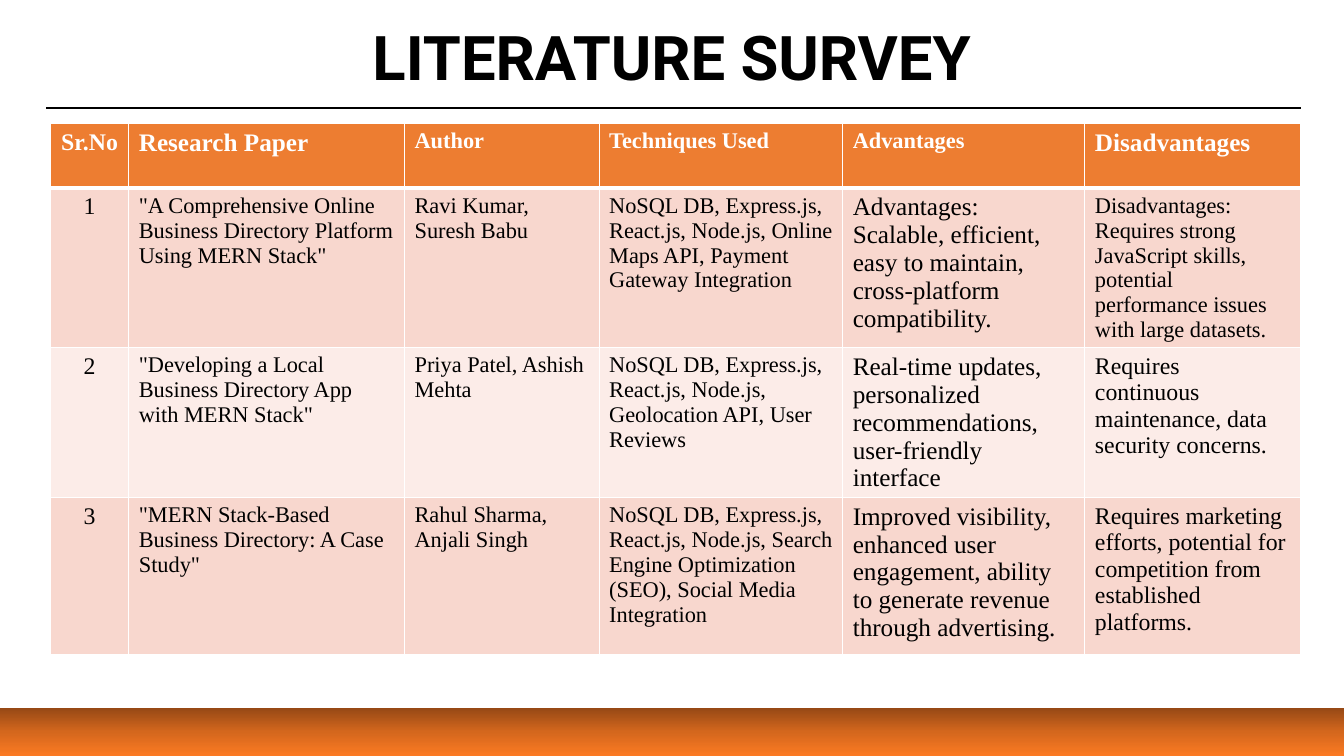
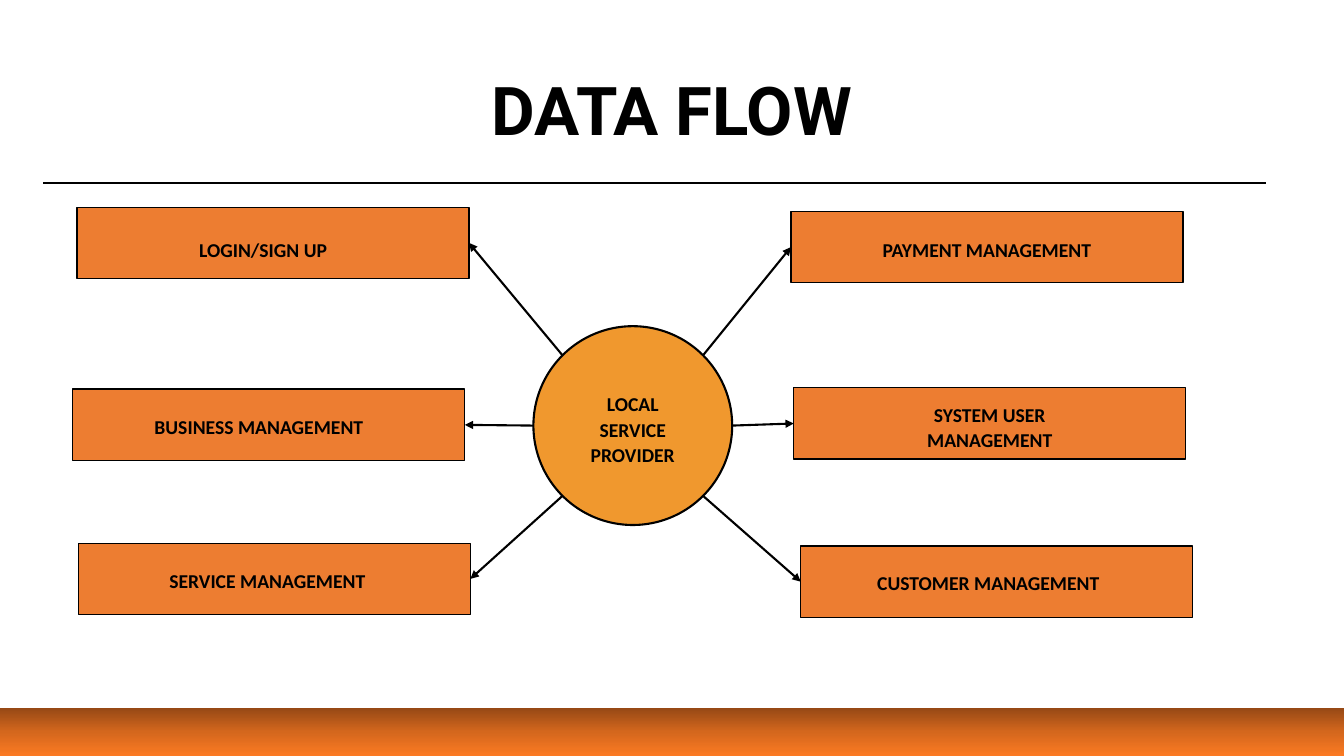
from copy import deepcopy
from math import cos, radians, sin

from pptx import Presentation
from pptx.dml.color import RGBColor
from pptx.enum.shapes import MSO_CONNECTOR, MSO_SHAPE
from pptx.enum.text import MSO_ANCHOR, MSO_AUTO_SIZE, PP_ALIGN
from pptx.oxml.ns import qn
from pptx.oxml.xmlchemy import OxmlElement
from pptx.util import Pt

PAGE_WIDTH, PAGE_HEIGHT = 960, 540
BLACK, WHITE = "000000", "FFFFFF"
ORANGE, AMBER = "ED7D31", "F0982E"
ROW_FILLS = ("F8D7CE", "FCECE8")
BAND_STOPS = ((0, "954815"), (0.5, "D4671D"), (1, "FB7A23"))
TITLE_FONT, TABLE_FONT, LABEL_FONT = "Roboto", "Times New Roman", "Calibri"

COLUMN_WIDTHS = (56, 197, 139, 174, 173, 154)
ROW_HEIGHTS = (46, 114, 107, 112)
SURVEY_ROWS = (
    ("Sr.No", "Research Paper", "Author", "Techniques Used", "Advantages", "Disadvantages"),
    ("1", '"A Comprehensive Online Business Directory Platform Using MERN Stack"',
     "Ravi Kumar, Suresh Babu",
     "NoSQL DB, Express.js, React.js, Node.js, Online Maps API, Payment Gateway Integration",
     "Advantages: Scalable, efficient, easy to maintain, cross-platform compatibility.",
     "Disadvantages: Requires strong JavaScript skills, potential performance issues "
     "with large datasets."),
    ("2", '"Developing a Local Business Directory App with MERN Stack"',
     "Priya Patel, Ashish Mehta",
     "NoSQL DB, Express.js, React.js, Node.js, Geolocation API, User Reviews",
     "Real-time updates, personalized recommendations, user-friendly interface",
     "Requires continuous maintenance, data security concerns."),
    ("3", '"MERN Stack-Based Business Directory: A Case Study"',
     "Rahul Sharma, Anjali Singh",
     "NoSQL DB, Express.js, React.js, Node.js, Search Engine Optimization (SEO), "
     "Social Media Integration",
     "Improved visibility, enhanced user engagement, ability to generate revenue "
     "through advertising.",
     "Requires marketing efforts, potential for competition from established platforms."),
)
SURVEY_SIZES = (
    (17, 18, 16, 16, 16, 18),
    (17, 16, 16, 16, 18, 16),
    (17, 16, 16, 16, 18, 17),
    (17, 16, 16, 16, 18, 17),
)

NODE_WIDTH, NODE_HEIGHT, NODE_INSET = 280, 51, 56
HUB_LEFT, HUB_TOP, HUB_SIZE, HUB_INSET = 329, 85, 142, 12
LEFT_NODES = (
    ("LOGIN/SIGN UP", 3, 0, -7, 4),
    ("BUSINESS MANAGEMENT", 0, 130, -7, 1),
    ("SERVICE MANAGEMENT", 4, 240, -5, 1),
)
RIGHT_NODES = (
    ("PAYMENT MANAGEMENT", 513, 3, 0, 1),
    ("SYSTEM USER MANAGEMENT", 515, 129, 0, 2),
    ("CUSTOMER MANAGEMENT", 520, 242, -6, 0),
)


def color(value):
    """Turn a hex string into a colour."""
    return RGBColor.from_string(value)


def format_text(frame, font, size, tint, bold=True, align=PP_ALIGN.CENTER, spacing=None):
    """Format every paragraph and run of a text frame."""
    for para in frame.paragraphs:
        para.alignment = align
        para.line_spacing = spacing
        for span in para.runs:
            span.font.name = font
            span.font.size = Pt(size)
            span.font.bold = bold
            span.font.color.rgb = color(tint)


def add_line(page, start, end, arrow=False):
    """Draw a straight black line, with an arrowhead at its end if asked."""
    line = page.shapes.add_connector(MSO_CONNECTOR.STRAIGHT, *map(Pt, start + end))
    line.line.color.rgb = color(BLACK)
    line.line.width = Pt(1.5)
    if arrow:
        head = OxmlElement("a:tailEnd")
        head.set("type", "triangle")
        line.line._get_or_add_ln().append(head)
    line._element.spPr.append(OxmlElement("a:effectLst"))
    return line


def add_band(page, box):
    """Draw the gradient band at the foot of the page."""
    band = page.shapes.add_shape(MSO_SHAPE.RECTANGLE, *map(Pt, box))
    band.shadow.inherit = False
    band.line.fill.background()
    band.fill.gradient()
    band.fill.gradient_angle = 270
    stops = band._element.spPr.find(qn("a:gradFill")).find(qn("a:gsLst"))
    stops.insert(1, deepcopy(stops[0]))
    for stop, (position, tint) in zip(band.fill.gradient_stops, BAND_STOPS):
        stop.position = position
        stop.color.rgb = color(tint)


def add_page(deck, title, size, title_top, rule):
    """Add a page with its title, the rule below it and the foot band."""
    page = deck.slides.add_slide(deck.slide_layouts[5])
    heading = page.shapes.title
    heading.left, heading.top, heading.width, heading.height = map(Pt, (66, title_top, 828, 87))
    frame = heading.text_frame
    frame.text = title
    frame.auto_size = MSO_AUTO_SIZE.NONE
    frame.vertical_anchor = MSO_ANCHOR.MIDDLE
    format_text(frame, TITLE_FONT, size, BLACK, spacing=0.9)
    left, right, height = rule
    add_line(page, (left, height), (right, height))
    add_band(page, (0, 505.5, PAGE_WIDTH, 34.5))
    return page


def set_borders(cell, bottom):
    """Give a cell white borders, with its own bottom width."""
    properties = cell._tc.get_or_add_tcPr()
    for side, width in (("L", 1), ("R", 1), ("T", 1), ("B", bottom)):
        border = OxmlElement(f"a:ln{side}")
        border.set("w", str(Pt(width)))
        fill = OxmlElement("a:solidFill")
        tint = OxmlElement("a:srgbClr")
        tint.set("val", WHITE)
        fill.append(tint)
        border.append(fill)
        properties.append(border)


def add_survey(page, box):
    """Place the survey table in a box."""
    table = page.shapes.add_table(len(SURVEY_ROWS), len(COLUMN_WIDTHS), *map(Pt, box)).table
    for column, width in zip(table.columns, COLUMN_WIDTHS):
        column.width = Pt(width)
    for row, height in zip(table.rows, ROW_HEIGHTS):
        row.height = Pt(height)
    for row, (texts, sizes) in enumerate(zip(SURVEY_ROWS, SURVEY_SIZES)):
        header = row == 0
        for column, (text, size) in enumerate(zip(texts, sizes)):
            cell = table.cell(row, column)
            set_borders(cell, 3 if header or row == 0 else 1)
            cell.fill.solid()
            cell.fill.fore_color.rgb = color(ORANGE if header else ROW_FILLS[(row - 1) % 2])
            cell.text_frame.text = text
            format_text(cell.text_frame, TABLE_FONT, size, WHITE if header else BLACK,
                        bold=header, align=PP_ALIGN.LEFT if column else PP_ALIGN.CENTER)


def add_node(page, kind, box, label, fill, outline, inset, shift=0, drop=0):
    """Draw an outlined shape whose label sits a little off its centre."""
    node = page.shapes.add_shape(kind, *map(Pt, box))
    node.shadow.inherit = False
    node.fill.solid()
    node.fill.fore_color.rgb = color(fill)
    node.line.color.rgb = color(BLACK)
    node.line.width = Pt(outline)
    frame = node.text_frame
    frame.text = label
    frame.word_wrap = True
    frame.vertical_anchor = MSO_ANCHOR.MIDDLE
    frame.margin_left, frame.margin_right = Pt(inset + shift), Pt(inset - shift)
    frame.margin_top, frame.margin_bottom = Pt(2 * drop), 0
    format_text(frame, LABEL_FONT, 14, BLACK, spacing=1.07)
    return node


def add_data_flow(page, box):
    """Place the hub, the nodes around it and their arrows in a box."""
    left, top = box[:2]
    hub_box = (left + HUB_LEFT, top + HUB_TOP, HUB_SIZE, HUB_SIZE)
    add_node(page, MSO_SHAPE.OVAL, hub_box, "LOCAL SERVICE PROVIDER", AMBER, 1.5, HUB_INSET, drop=2)
    radius = HUB_SIZE / 2
    center_x, center_y = hub_box[0] + radius, hub_box[1] + radius
    for side, site, nodes in ((-1, 3, LEFT_NODES), (1, 1, RIGHT_NODES)):
        for angle, (label, across, down, shift, drop) in zip((-45, 0, 45), nodes):
            node_box = (left + across, top + down, NODE_WIDTH, NODE_HEIGHT)
            node = add_node(page, MSO_SHAPE.RECTANGLE, node_box, label, ORANGE, 1,
                            NODE_INSET, shift, drop)
            start = (center_x + side * radius * cos(radians(angle)),
                     center_y + radius * sin(radians(angle)))
            arrow = add_line(page, start, (center_x, center_y), arrow=True)
            arrow.end_connect(node, site)


def main():
    """Build the deck and save it."""
    deck = Presentation()
    deck.slide_width, deck.slide_height = Pt(PAGE_WIDTH), Pt(PAGE_HEIGHT)
    survey = add_page(deck, "LITERATURE SURVEY", 44, 0, (33, 929, 77))
    add_survey(survey, (36, 88.5, sum(COLUMN_WIDTHS), sum(ROW_HEIGHTS)))
    flow = add_page(deck, "DATA FLOW", 48, 38, (31, 904, 131))
    add_data_flow(flow, (52, 148, 800, 293))
    deck.save("out.pptx")


if __name__ == "__main__":
    main()
